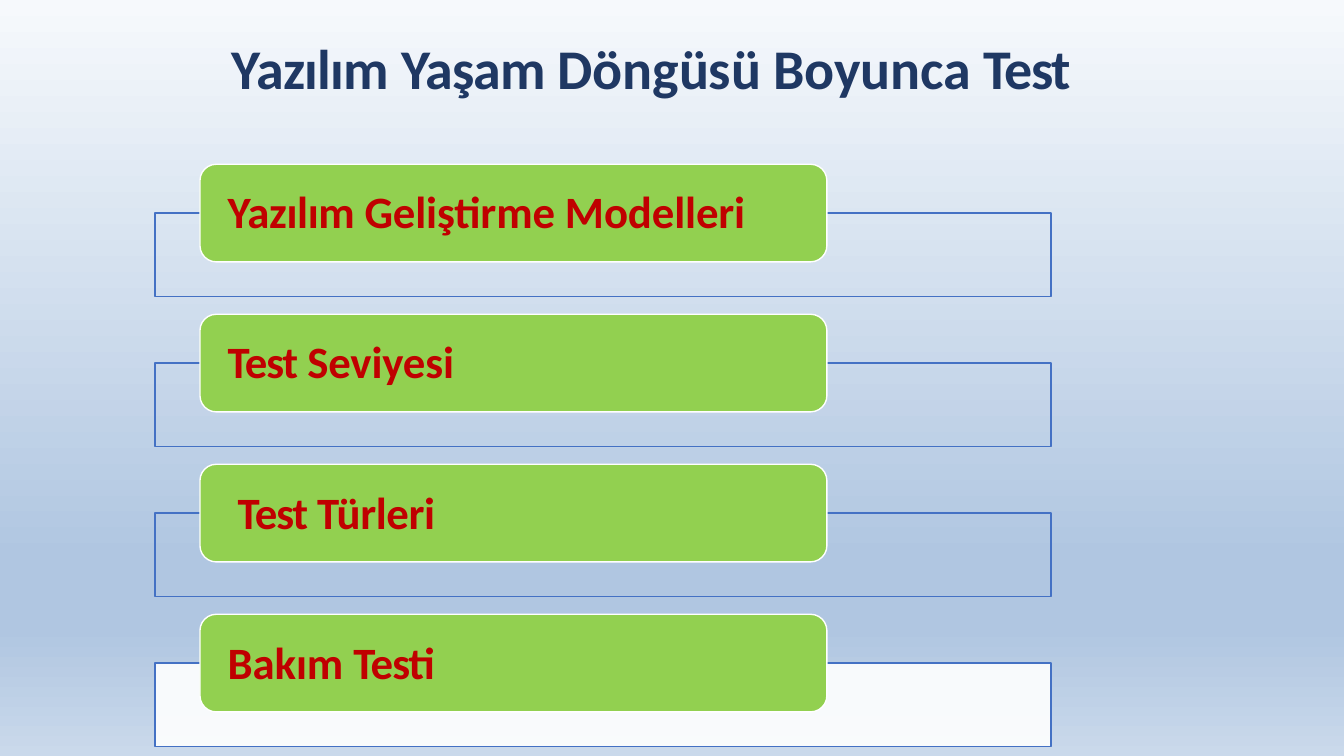
from typing import NamedTuple

from lxml.etree import SubElement
from pptx import Presentation
from pptx.dml.color import RGBColor
from pptx.enum.shapes import MSO_SHAPE
from pptx.enum.text import MSO_ANCHOR, PP_ALIGN
from pptx.oxml.ns import qn
from pptx.shapes.autoshape import Shape
from pptx.slide import Slide
from pptx.text.text import TextFrame
from pptx.util import Cm, Pt

COLORS = {
    "title": "1F3863",
    "label": "C00000",
    "tab": "92D050",
    "edge": "FFFFFF",
    "frame": "4471C4",
    "panel": "FFFFFF",
}
SKY = [(0, "F6F9FC"), (74, "B0C6E1"), (83, "B0C6E1"), (100, "CAD9EB")]
TOP, PITCH = 4.14, 3.78


class Word(NamedTuple):
    text: str
    spacing: float


class Topic(NamedTuple):
    words: list[Word]
    indent: float = 0
    filled: bool = False


TITLE = [
    Word("Yazılım ", -0.5),
    Word("Yaşam ", -0.6),
    Word("Döngüsü Boyunca ", -0.1),
    Word("Test", -1),
]
TOPICS = [
    Topic([Word("Yazılım ", -0.3), Word("Geliştirme Modelleri", -0.1)]),
    Topic([Word("Test ", -0.8), Word("Seviyesi", -0.1)]),
    Topic([Word("Test ", -0.8), Word("Türleri", -0.3)], indent=0.25),
    Topic([Word("Bakım ", -0.1), Word("Testi", -0.7)], filled=True),
]


def color(name: str) -> RGBColor:
    return RGBColor.from_string(COLORS[name])


def paint_sky(slide: Slide) -> None:
    fill = slide.background.fill
    fill.gradient()
    fill.gradient_angle = 270
    stops = next(slide.element.iter(qn("a:gsLst")))
    for stop in list(stops):
        stops.remove(stop)
    for place, tone in SKY:
        stop = SubElement(stops, qn("a:gs"), pos=str(place * 1000))
        SubElement(stop, qn("a:srgbClr"), val=tone)


def write(frame: TextFrame, words: list[Word], size: int, tone: str) -> None:
    """Fill a frame with one bold line whose words differ in letter spacing."""
    frame.word_wrap = True
    frame.margin_left = frame.margin_right = 0
    frame.margin_top = frame.margin_bottom = 0
    line = frame.paragraphs[0]
    line.alignment = PP_ALIGN.LEFT
    font = line.font
    font.name, font.size, font.bold = "Calibri", Pt(size), True
    font.color.rgb = color(tone)
    for word in words:
        run = line.add_run()
        run.text = word.text
        run._r.get_or_add_rPr().set("spc", str(round(word.spacing * 100)))


def add_box(slide: Slide, kind: MSO_SHAPE, left: float, top: float,
            width: float, height: float, edge: str) -> Shape:
    box = slide.shapes.add_shape(kind, Cm(left), Cm(top), Cm(width), Cm(height))
    box.shadow.inherit = False
    box.line.color.rgb = color(edge)
    box.line.width = Pt(1)
    return box


def add_topic(slide: Slide, topic: Topic, top: float) -> None:
    panel = add_box(slide, MSO_SHAPE.RECTANGLE, 3.91, top + 1.23, 22.58, 2.1, "frame")
    if topic.filled:
        panel.fill.solid()
        panel.fill.fore_color.rgb = color("panel")
        tone = next(panel.element.spPr.iter(qn("a:srgbClr")))
        SubElement(tone, qn("a:alpha"), val="90000")
    else:
        panel.fill.background()

    tab = add_box(slide, MSO_SHAPE.ROUNDED_RECTANGLE, 5.04, top, 15.8, 2.46, "edge")
    tab.fill.solid()
    tab.fill.fore_color.rgb = color("tab")
    frame = tab.text_frame
    write(frame, topic.words, 32, "label")
    frame.vertical_anchor = MSO_ANCHOR.MIDDLE
    frame.margin_left = Cm(0.58 + topic.indent)
    frame.margin_bottom = Cm(0.1)


def main() -> None:
    deck = Presentation()
    deck.slide_width, deck.slide_height = Cm(33.87), Cm(19.05)
    slide = deck.slides.add_slide(deck.slide_layouts[6])
    paint_sky(slide)
    title = slide.shapes.add_textbox(Cm(5.84), Cm(0.84), Cm(21.64), Cm(1.78))
    write(title.text_frame, TITLE, 40, "title")
    for row, topic in enumerate(TOPICS):
        add_topic(slide, topic, TOP + row * PITCH)
    deck.save("out.pptx")


if __name__ == "__main__":
    main()
